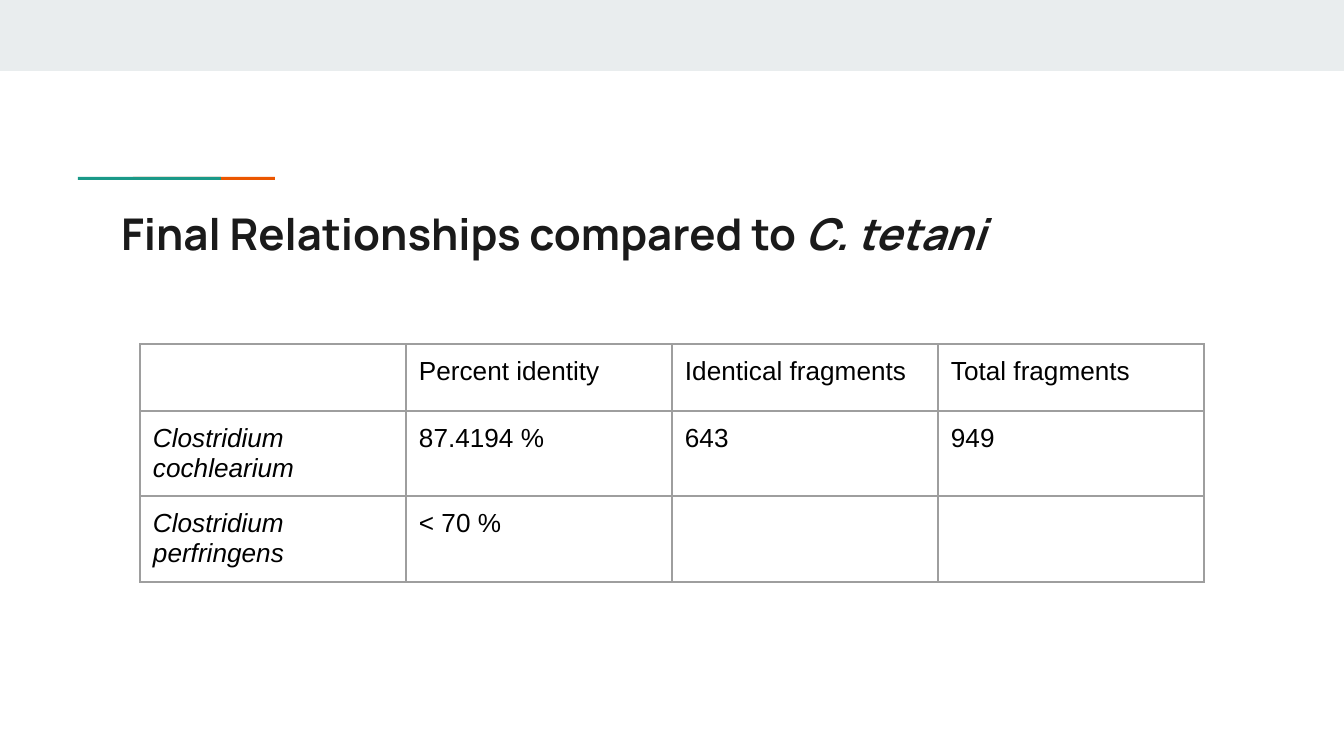
from lxml.etree import SubElement
from pptx import Presentation
from pptx.dml.color import RGBColor
from pptx.enum.shapes import MSO_SHAPE as Shape
from pptx.enum.text import MSO_ANCHOR as Anchor, MSO_AUTO_SIZE as AutoSize, PP_ALIGN as Align
from pptx.oxml.ns import qn
from pptx.util import Pt

EMU_PER_PX = 914400 / 134.4
MIST = RGBColor(0xE9, 0xED, 0xEE)
TEAL = RGBColor(0x1A, 0x99, 0x88)
ORANGE = RGBColor(0xEB, 0x56, 0x00)
INK = RGBColor(0x1A, 0x1A, 0x1A)
BLACK = RGBColor(0, 0, 0)
BORDER_GREY = "9E9E9E"
INSET = 13
COLUMN_WIDTH = 266
ROW_HEIGHTS = (65, 85, 86)
RELATIONSHIPS = (
    ("", "Percent identity", "Identical fragments", "Total fragments"),
    ("Clostridium cochlearium", "87.4194 %", "643", "949"),
    ("Clostridium perfringens", "< 70 %", "", ""),
)


def px(length):
    """Turn a length in px into EMU."""
    return round(length * EMU_PER_PX)


def add_bar(slide, left, top, width, height, color):
    """Add a plain filled rectangle."""
    bar = slide.shapes.add_shape(Shape.RECTANGLE, *map(px, (left, top, width, height)))
    bar.shadow.inherit = False
    bar.fill.solid()
    bar.fill.fore_color.rgb = color
    bar.line.fill.background()


def add_run(paragraph, wording, font_name, size, color, bold=False, italic=False):
    """Append one formatted run to a paragraph."""
    run = paragraph.add_run()
    run.text = wording
    font = run.font
    font.name, font.size, font.bold, font.italic = font_name, Pt(size), bold, italic
    font.color.rgb = color


def set_insets(box):
    """Give a text frame or a cell the common inset on each side."""
    box.margin_left = box.margin_right = box.margin_top = box.margin_bottom = px(INSET)


def fill_title(title):
    """Place the title and write it with the species name in italics."""
    title.left, title.top, title.width, title.height = map(px, (108, 194, 1130, 79))
    frame = title.text_frame
    frame.auto_size = AutoSize.NONE
    frame.word_wrap = True
    frame.vertical_anchor = Anchor.MIDDLE
    set_insets(frame)
    heading = frame.paragraphs[0]
    heading.alignment = Align.LEFT
    add_run(heading, "Final Relationships compared to ", "Manrope", 23.4, INK, bold=True)
    add_run(heading, "C. tetani", "Manrope", 23.4, INK, bold=True, italic=True)


def outline_cell(cell):
    """Draw a thin grey border on all four sides of a cell."""
    properties = cell._tc.get_or_add_tcPr()
    for position, side in enumerate(("a:lnL", "a:lnR", "a:lnT", "a:lnB")):
        border = properties.makeelement(qn(side), {"w": str(Pt(0.75))})
        properties.insert(position, border)
        fill = SubElement(border, qn("a:solidFill"))
        SubElement(fill, qn("a:srgbClr"), val=BORDER_GREY)


def add_relationship_table(slide, left, top):
    """Add the table of species compared by sequence identity."""
    column_count = len(RELATIONSHIPS[0])
    frame = slide.shapes.add_table(
        len(RELATIONSHIPS), column_count, px(left), px(top),
        px(COLUMN_WIDTH * column_count), px(sum(ROW_HEIGHTS)))
    table = frame.table
    table.first_row = table.horz_banding = False
    for column in table.columns:
        column.width = px(COLUMN_WIDTH)
    for row, height, wordings in zip(table.rows, ROW_HEIGHTS, RELATIONSHIPS):
        row.height = px(height)
        for index, (cell, wording) in enumerate(zip(row.cells, wordings)):
            cell.fill.background()
            set_insets(cell)
            outline_cell(cell)
            if wording:
                add_run(cell.text_frame.paragraphs[0], wording, "Arial", 14, BLACK,
                        italic=index == 0)


def main():
    """Build and save the slide."""
    deck = Presentation()
    deck.slide_width, deck.slide_height = px(1344), px(756)
    slide = deck.slides.add_slide(deck.slide_layouts[5])
    add_bar(slide, 0, 0, 1344, 71, MIST)
    add_bar(slide, 133, 177, 142, 3, ORANGE)
    add_bar(slide, 78, 177, 143, 3, TEAL)
    fill_title(slide.shapes.title)
    add_relationship_table(slide, 140, 344)
    deck.save("out.pptx")


if __name__ == "__main__":
    main()
